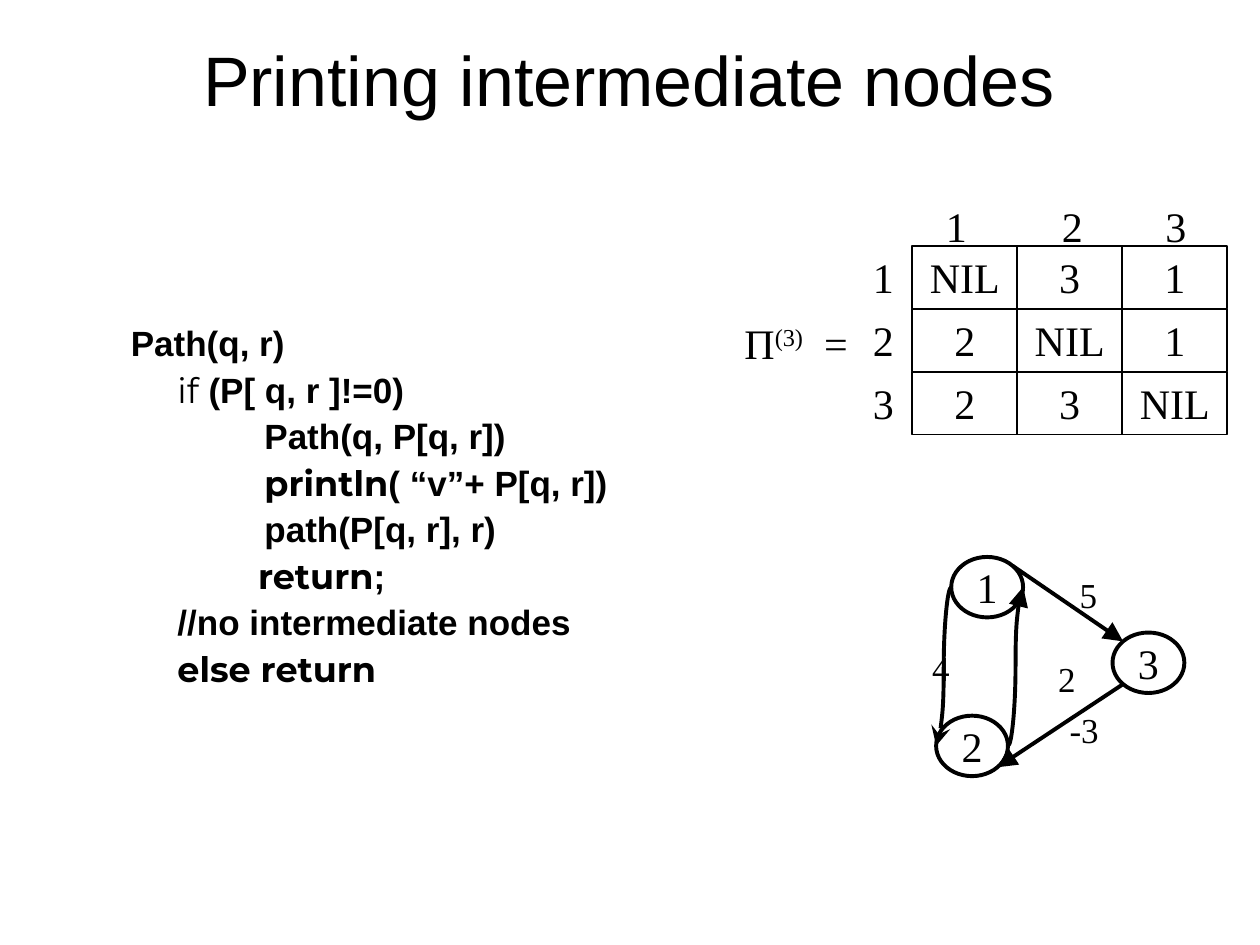
from math import sqrt

from lxml.etree import SubElement
from pptx import Presentation
from pptx.dml.color import RGBColor
from pptx.enum.shapes import MSO_CONNECTOR as CONNECTOR, MSO_SHAPE as SHAPE
from pptx.enum.text import MSO_ANCHOR as ANCHOR, PP_ALIGN as ALIGN
from pptx.oxml.ns import qn
from pptx.util import Inches, Pt

BLACK = "000000"
SERIF, SANS, CODE = "Times New Roman", "Arial", "Montserrat"

CODE_LINES = [
    (0, [("Path(q, r)", SANS, True)]),
    (0.37, [("if", CODE, False), (" (P[ q, r ]!=0)", SANS, True)]),
    (1.06, [("Path(q, P[q, r])", SANS, True)]),
    (1.06, [("println", CODE, True), ("( “v”+ P[q, r])", SANS, True)]),
    (1.06, [("path(P[q, r], r)", SANS, True)]),
    (1.01, [("return", CODE, True), (";", SANS, True)]),
    (0.37, [("//no intermediate nodes", SANS, True)]),
    (0.37, [("else return", CODE, True)]),
]
MATRIX = [["NIL", "3", "1"], ["2", "NIL", "1"], ["2", "3", "NIL"]]


def color(value):
    """Turn a hex string into a colour."""
    return RGBColor.from_string(value)


def style(paragraph, size, name=SERIF, align=ALIGN.LEFT):
    """Set the font and alignment of a paragraph."""
    font = paragraph.font
    font.size, font.name = Pt(size), name
    font.color.rgb = color(BLACK)
    paragraph.alignment = align


def add_text(slide, text, left, top, width, height, size, wrap=False):
    """Add a text box with one serif paragraph and return the paragraph."""
    box = slide.shapes.add_textbox(Inches(left), Inches(top), Inches(width), Inches(height))
    box.text_frame.word_wrap = wrap
    paragraph = box.text_frame.paragraphs[0]
    paragraph.text = text
    style(paragraph, size)
    return paragraph


def add_outline(slide, kind, text, left, top, width, height, line_width):
    """Add an unfilled black outline with centred text."""
    shape = slide.shapes.add_shape(
        kind, Inches(left), Inches(top), Inches(width), Inches(height))
    shape.shadow.inherit = False
    shape.fill.background()
    shape.line.color.rgb, shape.line.width = color(BLACK), Pt(line_width)
    frame = shape.text_frame
    frame.text, frame.word_wrap, frame.vertical_anchor = text, False, ANCHOR.MIDDLE
    style(frame.paragraphs[0], 24, align=ALIGN.CENTER)


def add_title(slide, left, top, width, height):
    """Place the centred slide title."""
    box = slide.shapes.add_textbox(Inches(left), Inches(top), Inches(width), Inches(height))
    frame = box.text_frame
    frame.word_wrap, frame.vertical_anchor = True, ANCHOR.MIDDLE
    frame.text = "Printing intermediate nodes"
    style(frame.paragraphs[0], 40, SANS, ALIGN.CENTER)


def add_code(slide, left, top, width, height):
    """Place the pseudocode, one indented paragraph a line."""
    box = slide.shapes.add_textbox(Inches(left), Inches(top), Inches(width), Inches(height))
    frame = box.text_frame
    frame.word_wrap = True
    for index, (indent, parts) in enumerate(CODE_LINES):
        paragraph = frame.add_paragraph() if index else frame.paragraphs[0]
        style(paragraph, 20, SANS)
        paragraph.line_spacing, paragraph.space_before = 0.9, Pt(5)
        paragraph._p.get_or_add_pPr().set("marL", str(Inches(indent)))
        for text, name, bold in parts:
            run = paragraph.add_run()
            run.text, run.font.name, run.font.bold = text, name, bold


def add_matrix(slide, left, top):
    """Place the predecessor matrix with its row and column numbers."""
    cell_width, cell_height = 2.5 / 3, 0.5
    grid_left, grid_top = left + 1.43, top + 0.41
    for row, values in enumerate(MATRIX):
        for column, value in enumerate(values):
            add_outline(slide, SHAPE.RECTANGLE, value, grid_left + column * cell_width,
                        grid_top + row * cell_height, cell_width, cell_height, 1)
    for index, offset in enumerate((0.17, 1.09, 1.91)):
        number = str(index + 1)
        add_text(slide, number, grid_left + offset, top, 0.36, 0.5, 24)
        add_text(slide, number, left + 1.02, grid_top + index * cell_height, 0.36, 0.5, 24)
    paragraph = add_text(slide, "Π", left, top + 0.93, 1.02, 0.5, 24)
    power = paragraph.add_run()
    power.text = "(3)"
    power.font._element.set("baseline", "30000")
    paragraph.add_run().text = "  ="


def add_edge(slide, kind, start, end, arrow_side, arrow):
    """Add one graph edge with a large arrowhead at one end."""
    edge = slide.shapes.add_connector(kind, *(Inches(value) for value in start + end))
    edge.line.color.rgb, edge.line.width = color(BLACK), Pt(2.25)
    SubElement(edge.line._get_or_add_ln(), qn(arrow_side), type=arrow, w="lg", len="lg")
    SubElement(edge._element.spPr, qn("a:effectLst"))


def add_graph(slide, left, top):
    """Place the weighted graph with its nodes, edges and weights."""
    width, height = 0.57, 0.48
    nodes = {"1": (left + 0.25, top), "2": (left + 0.13, top + 1.26), "3": (left + 1.53, top + 0.6)}

    def rim(name, across, down):
        """Return the point of a node's outline in a direction."""
        x, y = nodes[name]
        length = sqrt(across ** 2 + down ** 2)
        return (x + width / 2 * (1 + across / length), y + height / 2 * (1 + down / length))

    for name, (x, y) in nodes.items():
        add_outline(slide, SHAPE.OVAL, name, x, y, width, height, 2.25)
    straight, curve = CONNECTOR.STRAIGHT, CONNECTOR.CURVE
    head, tail = "a:headEnd", "a:tailEnd"
    add_edge(slide, straight, rim("1", 1, -1), rim("3", -1, -1), tail, "triangle")
    add_edge(slide, straight, rim("3", -1, 1), rim("2", 1, 1), tail, "triangle")
    add_edge(slide, curve, rim("2", -1, 0), rim("1", -1, 0), head, "stealth")
    add_edge(slide, curve, rim("2", 1, 0), rim("1", 1, 0), tail, "triangle")
    weights = [("5", 1.17, 0.08, 0.34), ("-3", 1.09, 1.15, 0.43),
               ("2", 1, 0.75, 0.34), ("4", 0, 0.66, 0.34)]
    for text, x, y, label_width in weights:
        add_text(slide, text, left + x, top + y, label_width, 0.43, 20)


def main():
    """Build and save the presentation."""
    presentation = Presentation()
    presentation.slide_width, presentation.slide_height = Inches(10), Inches(7.5)
    slide = presentation.slides.add_slide(presentation.slide_layouts[6])
    add_title(slide, 0.49, 0, 9, 1.25)
    add_code(slide, 0.94, 2.54, 5.58, 3.01)
    add_graph(slide, 7.3, 4.42)
    add_matrix(slide, 5.81, 1.54)
    presentation.save("out.pptx")


if __name__ == "__main__":
    main()
